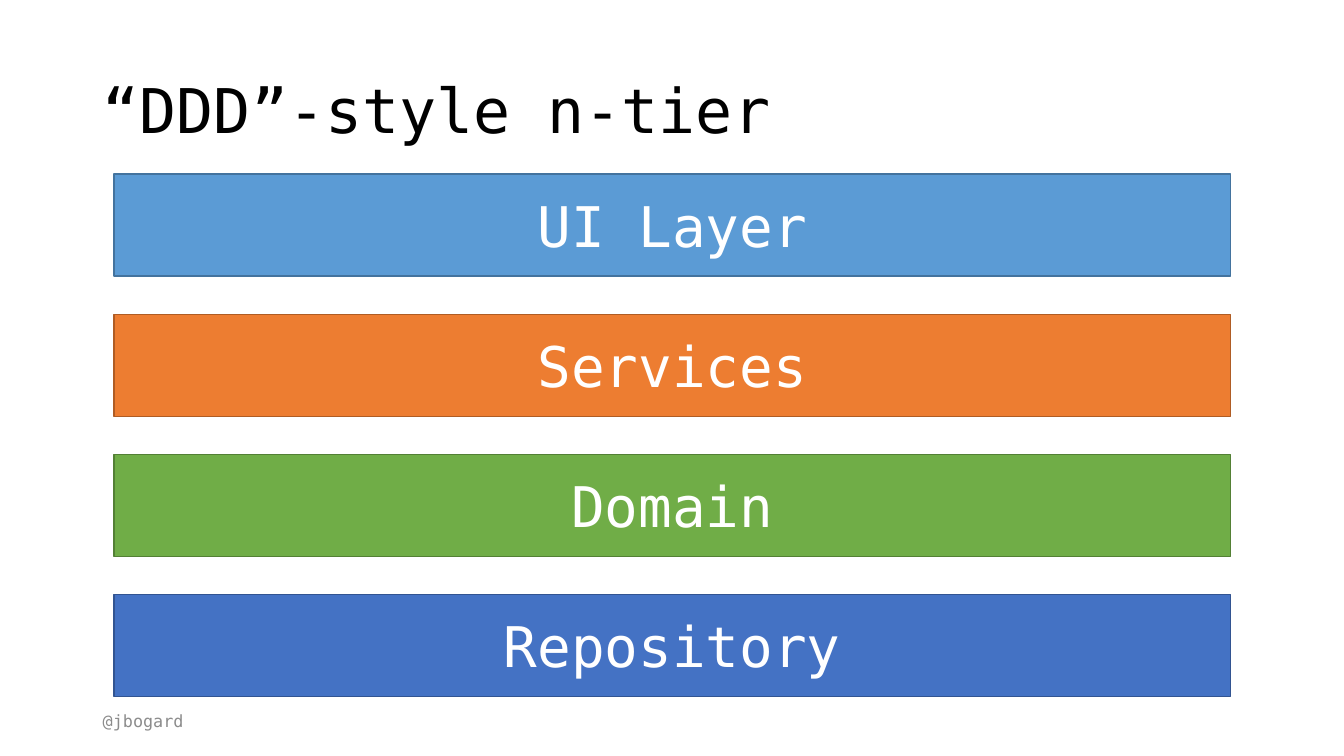
from pptx import Presentation
from pptx.dml.color import RGBColor
from pptx.enum import shapes, text
from pptx.util import Cm, Pt

theme = {
    "font": "DejaVu Sans Mono",
    "title": (44, "000000"),
    "label": (40, "FFFFFF"),
    "handle": (12, "8C8C8C"),
    "UI Layer": ("5B9BD5", "43739E"),
    "Services": ("ED7D31", "AF5C24"),
    "Domain": ("70AD47", "538035"),
    "Repository": ("4472C4", "325491"),
}


def write(shape, words, style, align=text.PP_ALIGN.LEFT, lead=1.0):
    frame = shape.text_frame
    frame.word_wrap = True
    frame.vertical_anchor = text.MSO_ANCHOR.MIDDLE
    para = frame.paragraphs[0]
    para.text = words
    para.alignment = align
    para.line_spacing = lead
    size, color = theme[style]
    font = para.runs[0].font
    font.name = theme["font"]
    font.size = Pt(size)
    font.color.rgb = RGBColor.from_string(color)


deck = Presentation()
deck.slide_width, deck.slide_height = Cm(33.87), Cm(19.05)
slide = deck.slides.add_slide(deck.slide_layouts[6])

title = slide.shapes.add_textbox(Cm(2.34), Cm(1.02), Cm(29.21), Cm(3.68))
write(title, "“DDD”-style n-tier", "title", lead=0.9)

top, step = 4.39, 3.53
for row, name in enumerate(["UI Layer", "Services", "Domain", "Repository"]):
    tier = slide.shapes.add_shape(
        shapes.MSO_SHAPE.RECTANGLE, Cm(2.87), Cm(top + row * step), Cm(28.14), Cm(2.57)
    )
    fill, edge = theme[name]
    tier.shadow.inherit = False
    tier.fill.solid()
    tier.fill.fore_color.rgb = RGBColor.from_string(fill)
    tier.line.color.rgb = RGBColor.from_string(edge)
    tier.line.width = Pt(1)
    write(tier, name, "label", align=text.PP_ALIGN.CENTER)

handle = slide.shapes.add_textbox(Cm(2.34), Cm(17.65), Cm(7.62), Cm(1.02))
write(handle, "@jbogard", "handle")

deck.save("out.pptx")
